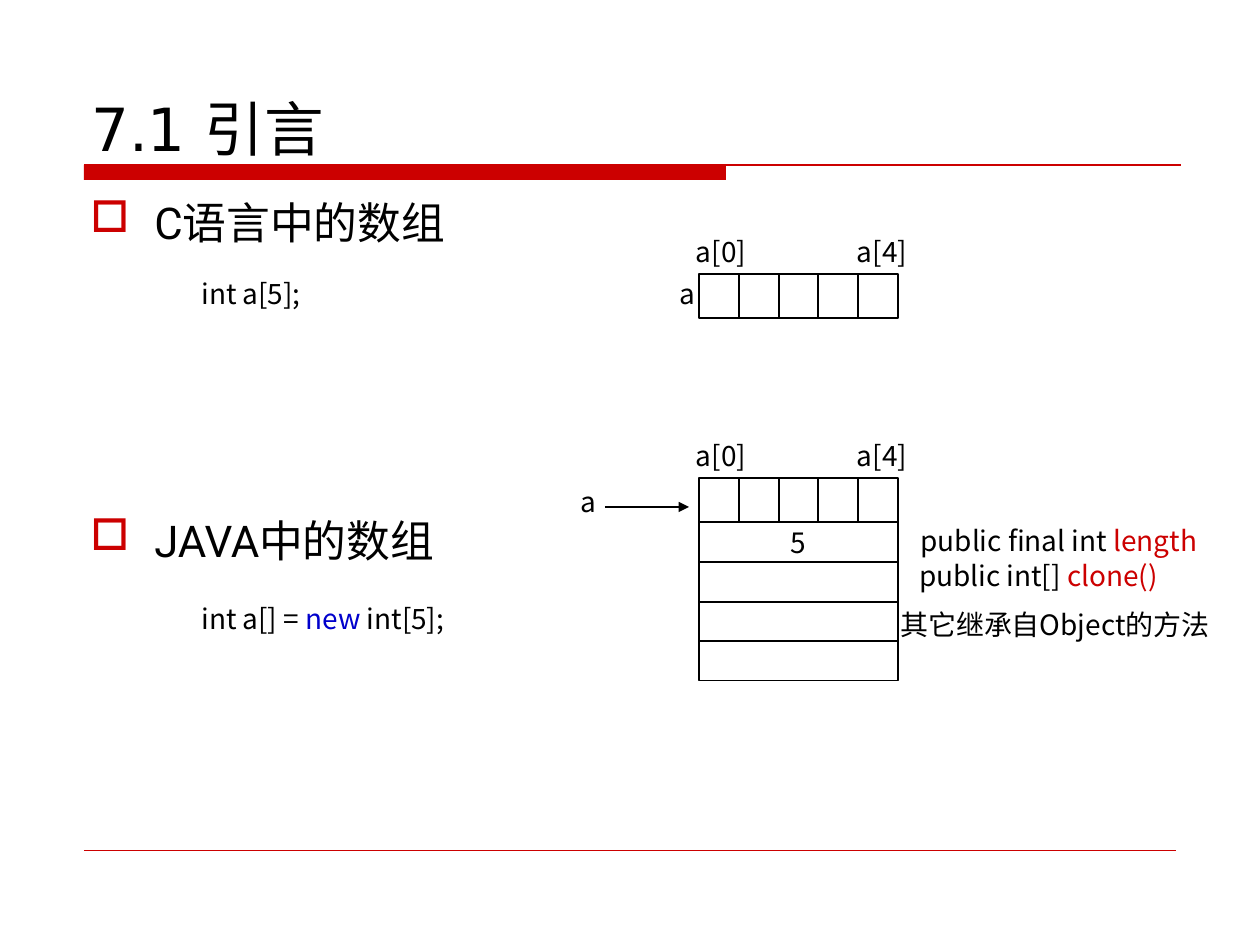
"""Build a slide comparing array layout in C and Java."""
import dataclasses

import lxml.etree
import pptx
import pptx.dml.color
import pptx.enum.shapes
import pptx.enum.text
import pptx.oxml.ns
import pptx.util

SCALE = 914400 // 126
ALIGN = pptx.enum.text.PP_ALIGN
ANCHOR = pptx.enum.text.MSO_ANCHOR


@dataclasses.dataclass(frozen=True)
class Theme:
    black: str = "000000"
    red: str = "CC0000"
    blue: str = "0000CC"
    title_font: str = "DejaVu Sans"
    body_font: str = "Roboto"
    label_font: str = "Noto Sans CJK SC"
    title_size: int = 34
    body_size: int = 25
    label_size: int = 16
    body_pitch: float = 32.6
    label_pitch: float = 19.5
    thin: float = 0.75
    hairline: float = 0.25


THEME = Theme()

TITLE = "7.1 引言"
TITLE_BOX = (79, 46, 1102, 124)
TOPICS = ["C语言中的数组", "JAVA中的数组"]
TOPICS_BOX = (78, 185, 1102, 645)
TOPIC_GAP = 149
BULLET_INDENT = 64

BAR = (84, 165, 642, 15)
RULES = [
    ((84, 165), (1181, 165), THEME.thin),
    ((84, 850), (1176, 850), THEME.hairline),
]

ARRAY_LEFT, ARRAY_WIDTH, CELL_COUNT, CELL_HEIGHT = 699, 199, 5, 44
C_ARRAY_TOP, JAVA_ARRAY_TOP = 274, 478
MEMBERS = ["5", "", "", ""]
MEMBERS_TOP, MEMBERS_HEIGHT = 522, 159
REFERENCE_ARROW = ((605, 507), (689, 507))

INDEX_LABELS = [("a[0]", 674), ("a[4]", 835)]
INDEX_RISE, INDEX_WIDTH, LABEL_HEIGHT = 46, 94, 47
NOTES = [
    ("a", (660, 270, 54, LABEL_HEIGHT), ALIGN.CENTER),
    ("a", (561, 478, 54, LABEL_HEIGHT), ALIGN.CENTER),
    ([("public final int ", THEME.black), ("length ", THEME.red)],
     (883, 517, 358, LABEL_HEIGHT), ALIGN.CENTER),
    ([("public int[] ", THEME.black), ("clone() ", THEME.red)],
     (888, 552, 307, LABEL_HEIGHT), ALIGN.CENTER),
    ("其它继承自Object的方法", (888, 601, 341, 81), ALIGN.LEFT),
    ("int a[5];", (189, 270, 287, LABEL_HEIGHT), ALIGN.LEFT),
    ([("int a[] = ", THEME.black), ("new", THEME.blue), (" int[5];", THEME.black)],
     (189, 595, 348, LABEL_HEIGHT), ALIGN.LEFT),
]


def px(value):
    return pptx.util.Emu(value * SCALE)


def rgb(colour):
    return pptx.dml.color.RGBColor.from_string(colour)


def add_element(parent, tag, **attributes):
    return lxml.etree.SubElement(parent, pptx.oxml.ns.qn(tag), attributes)


def split_evenly(start, length, count):
    edges = [round(start + length * i / count) for i in range(count + 1)]
    return [(near, far - near) for near, far in zip(edges, edges[1:])]


def write_text(paragraph, text, font=THEME.label_font, size=THEME.label_size,
               align=ALIGN.LEFT, pitch=None, space_before=0):
    paragraph.alignment = align
    paragraph.space_before = pptx.util.Pt(space_before)
    if pitch:
        paragraph.line_spacing = pptx.util.Pt(pitch)
    parts = [(text, THEME.black)] if isinstance(text, str) else text
    for words, colour in parts:
        run = paragraph.add_run()
        run.text = words
        run.font.size = pptx.util.Pt(size)
        run.font.color.rgb = rgb(colour)
        run.font.name = font
        add_element(run.font._element, "a:ea", typeface=THEME.label_font)


def add_text_box(slide, box, anchor=ANCHOR.TOP):
    frame = slide.shapes.add_textbox(*map(px, box)).text_frame
    frame.word_wrap = True
    frame.vertical_anchor = anchor
    return frame


def add_rectangle(slide, box, fill=None, line=None):
    shape = slide.shapes.add_shape(
        pptx.enum.shapes.MSO_SHAPE.RECTANGLE, *map(px, box))
    shape.shadow.inherit = False
    if fill:
        shape.fill.solid()
        shape.fill.fore_color.rgb = rgb(fill)
    else:
        shape.fill.background()
    if line:
        shape.line.color.rgb = rgb(line)
        shape.line.width = pptx.util.Pt(THEME.thin)
    else:
        shape.line.fill.background()
    return shape


def add_line(slide, start, end, colour, width, arrow=False):
    connector = slide.shapes.add_connector(
        pptx.enum.shapes.MSO_CONNECTOR.STRAIGHT, *map(px, start + end))
    connector.line.color.rgb = rgb(colour)
    connector.line.width = pptx.util.Pt(width)
    if arrow:
        add_element(connector.line._get_or_add_ln(), "a:tailEnd", type="triangle")
    add_element(connector._element.spPr, "a:effectLst")


def add_topics(slide):
    frame = add_text_box(slide, TOPICS_BOX)
    for number, topic in enumerate(TOPICS):
        paragraph = frame.add_paragraph() if number else frame.paragraphs[0]
        properties = paragraph._p.get_or_add_pPr()
        properties.set("marL", str(px(BULLET_INDENT)))
        properties.set("indent", str(-px(BULLET_INDENT)))
        bullet_colour = add_element(properties, "a:buClr")
        add_element(bullet_colour, "a:srgbClr", val=THEME.red)
        add_element(properties, "a:buChar", char="□")
        write_text(paragraph, topic, font=THEME.body_font, size=THEME.body_size,
                   pitch=THEME.body_pitch, space_before=TOPIC_GAP * number)


def add_label(slide, text, box, align):
    write_text(add_text_box(slide, box).paragraphs[0], text, align=align,
               pitch=THEME.label_pitch)


def add_array(slide, top):
    for left, width in split_evenly(ARRAY_LEFT, ARRAY_WIDTH, CELL_COUNT):
        add_rectangle(slide, (left, top, width, CELL_HEIGHT), line=THEME.black)
    for text, left in INDEX_LABELS:
        box = (left, top - INDEX_RISE, INDEX_WIDTH, LABEL_HEIGHT)
        add_label(slide, text, box, ALIGN.CENTER)


def add_members(slide):
    rows = split_evenly(MEMBERS_TOP, MEMBERS_HEIGHT, len(MEMBERS))
    for text, (top, height) in zip(MEMBERS, rows):
        shape = add_rectangle(
            slide, (ARRAY_LEFT, top, ARRAY_WIDTH, height), line=THEME.black)
        if text:
            shape.text_frame.vertical_anchor = ANCHOR.MIDDLE
            write_text(shape.text_frame.paragraphs[0], text, align=ALIGN.CENTER)


def main():
    presentation = pptx.Presentation()
    presentation.slide_width, presentation.slide_height = px(1260), px(945)
    slide = presentation.slides.add_slide(presentation.slide_layouts[6])
    add_rectangle(slide, BAR, fill=THEME.red)
    for start, end, width in RULES:
        add_line(slide, start, end, THEME.red, width)
    title = add_text_box(slide, TITLE_BOX, anchor=ANCHOR.BOTTOM)
    write_text(title.paragraphs[0], TITLE, font=THEME.title_font,
               size=THEME.title_size)
    add_topics(slide)
    for top in (C_ARRAY_TOP, JAVA_ARRAY_TOP):
        add_array(slide, top)
    add_members(slide)
    add_line(slide, *REFERENCE_ARROW, THEME.black, THEME.thin, arrow=True)
    for text, box, align in NOTES:
        add_label(slide, text, box, align)
    presentation.save("out.pptx")


if __name__ == "__main__":
    main()
